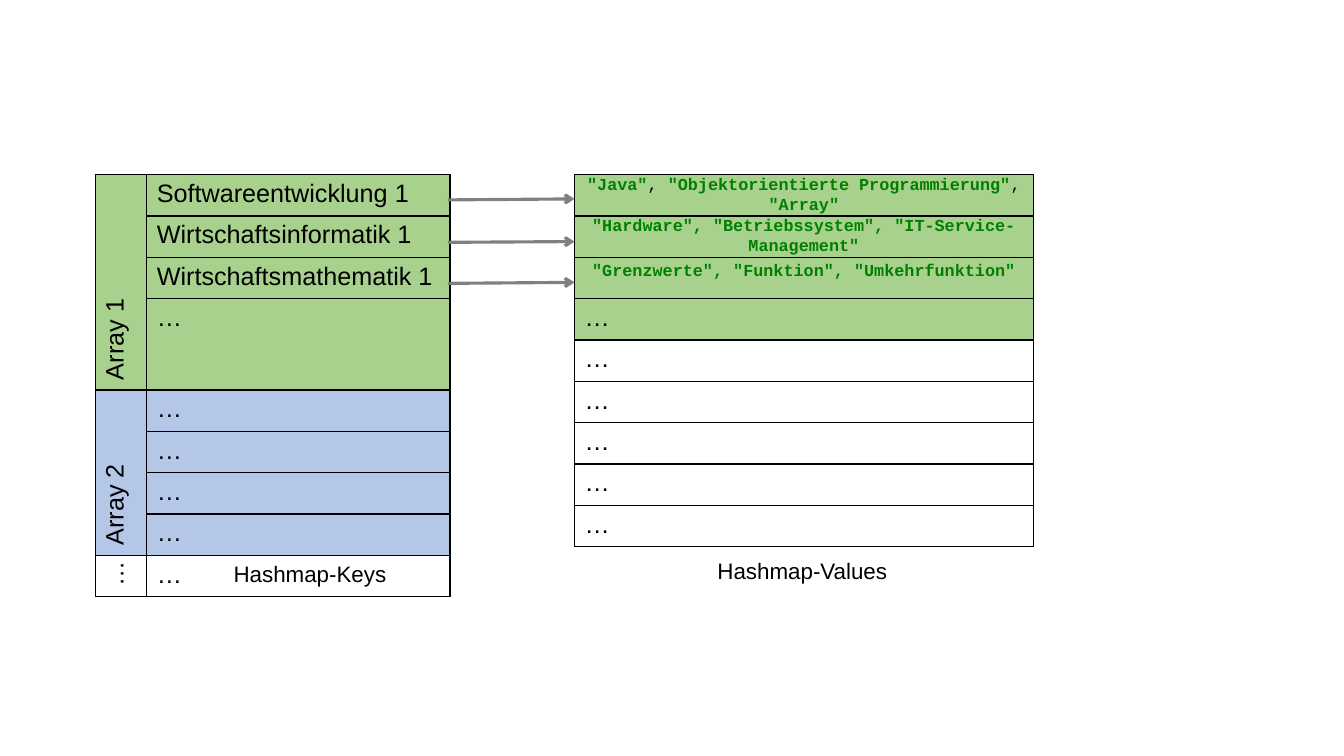
from lxml.etree import SubElement
from pptx import Presentation
from pptx.dml.color import RGBColor
from pptx.enum.shapes import MSO_CONNECTOR
from pptx.enum.text import MSO_ANCHOR, PP_ALIGN
from pptx.oxml.ns import qn
from pptx.util import Pt

COLORS = {"black": "000000", "white": "FFFFFF", "green": "A9D18E",
          "blue": "B4C7E7", "gray": "808080", "code": "008000"}
ROW = 29.52  # height of a table row


def write(frame, *runs, size=18, font="Arial", color="black", bold=False,
          align=PP_ALIGN.LEFT, space=None):
    """Fill the first paragraph; the text ", " as its own run is plain black."""
    para = frame.paragraphs[0]
    para.alignment = align
    para.line_spacing = space
    for text in runs:
        plain = text == ", "
        run = para.add_run()
        run.text = text
        run.font.size, run.font.name = Pt(size), font
        run.font.bold = bold and not plain
        run.font.color.rgb = RGBColor.from_string(COLORS["black" if plain else color])


def grid(left, top, widths, fills):
    """Add a table with one row per fill colour and thin black borders."""
    frame = slide.shapes.add_table(len(fills), len(widths), Pt(left), Pt(top),
                                   Pt(sum(widths)), Pt(ROW * len(fills)))
    table = frame.table
    table.first_row = table.horz_banding = False
    for col, width in zip(table.columns, widths):
        col.width = Pt(width)
    for row, fill in zip(table.rows, fills):
        row.height = Pt(ROW)
        for cell in row.cells:
            props = cell._tc.get_or_add_tcPr()
            for side in ("a:lnL", "a:lnR", "a:lnT", "a:lnB"):
                line = SubElement(props, qn(side), w=str(Pt(1)))
                solid = SubElement(line, qn("a:solidFill"))
                SubElement(solid, qn("a:srgbClr"), val=COLORS["black"])
            cell.fill.solid()
            cell.fill.fore_color.rgb = RGBColor.from_string(COLORS[fill])
    return table


deck = Presentation()
deck.slide_width, deck.slide_height = Pt(960), Pt(540)
slide = deck.slides.add_slide(deck.slide_layouts[6])

# Key table
keys = grid(68.4, 124.8, [36.4, 216.6], ["green"] * 4 + ["blue"] * 4 + ["white"])
names = ["Softwareentwicklung 1", "Wirtschaftsinformatik 1",
         "Wirtschaftsmathematik 1"] + ["…"] * 6
for row, name in enumerate(names):
    write(keys.cell(row, 1).text_frame, name)

# Vertical array labels
for first, last, label in [(0, 3, "Array 1"), (4, 7, "Array 2"), (8, 8, "…")]:
    cell = keys.cell(first, 0)
    if last > first:
        cell.merge(keys.cell(last, 0))
    cell.vertical_anchor = MSO_ANCHOR.MIDDLE
    cell._tc.get_or_add_tcPr().set("vert", "vert270")
    write(cell.text_frame, label)

# Value table
values = grid(410.4, 124.8, [327.6], ["green"] * 4 + ["white"] * 5)
words = [
    ['"Java"', ", ", '"Objektorientierte Programmierung"', ", ", '"Array"'],
    ['"Hardware", "Betriebssystem", "IT-Service-Management"'],
    ['"Grenzwerte", "Funktion", "Umkehrfunktion"'],
]
for row, runs in enumerate(words):
    cell = values.cell(row, 0)
    tight = row < 2  # rows with two lines of text
    if tight:
        cell.vertical_anchor = MSO_ANCHOR.MIDDLE
        cell.margin_left = cell.margin_right = Pt(5)
        cell.margin_top = cell.margin_bottom = 0
    write(cell.text_frame, *runs, size=12, font="Courier New", color="code",
          bold=True, align=PP_ALIGN.CENTER, space=1.07 if tight else None)
for row in range(len(words), 9):
    write(values.cell(row, 0).text_frame, "…")

# Arrows from keys to values
for start, end in [(142.8, 142.1), (173.1, 172.6), (202.4, 201.7)]:
    arrow = slide.shapes.add_connector(MSO_CONNECTOR.STRAIGHT, Pt(320), Pt(start),
                                       Pt(410.4), Pt(end))
    arrow.line.width = Pt(2.25)
    arrow.line.color.rgb = RGBColor.from_string(COLORS["gray"])
    SubElement(arrow.line._get_or_add_ln(), qn("a:tailEnd"), type="arrow")
    SubElement(arrow._element.spPr, qn("a:effectLst"))

# Captions
for left, top, width, label in [(154.8, 389.5, 133.2, "Hashmap-Keys"),
                                (501.1, 387.4, 144, "Hashmap-Values")]:
    box = slide.shapes.add_textbox(Pt(left), Pt(top), Pt(width), Pt(41))
    box.text_frame.word_wrap = True
    box.text_frame.vertical_anchor = MSO_ANCHOR.MIDDLE
    write(box.text_frame, label, size=16, align=PP_ALIGN.CENTER)

deck.save("out.pptx")
